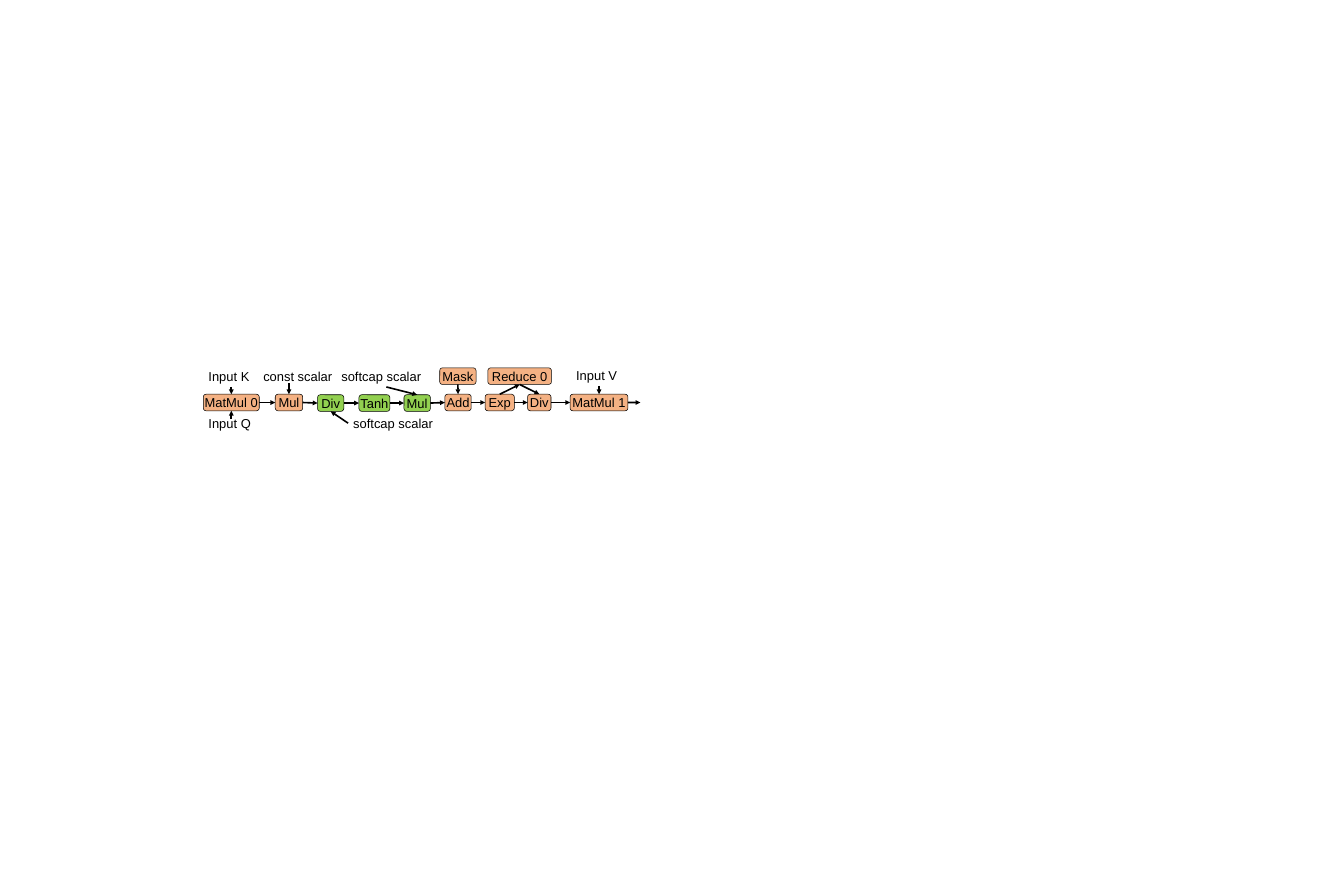
from dataclasses import dataclass

from lxml import etree
from pptx import Presentation
from pptx.dml.color import RGBColor
from pptx.enum.shapes import MSO_CONNECTOR, MSO_SHAPE
from pptx.enum.text import MSO_ANCHOR, MSO_AUTO_SIZE, PP_ALIGN
from pptx.oxml.ns import qn
from pptx.shapes.autoshape import Shape
from pptx.util import Inches, Pt

STRAIGHT = MSO_CONNECTOR.STRAIGHT
ROUNDED = MSO_SHAPE.ROUNDED_RECTANGLE
MIDDLE = MSO_ANCHOR.MIDDLE
LEFT_ALIGNED, CENTERED = PP_ALIGN.LEFT, PP_ALIGN.CENTER
GROW = MSO_AUTO_SIZE.SHAPE_TO_FIT_TEXT
TOP, LEFT, BOTTOM, RIGHT = range(4)

COLORS = {"base": "F4B183", "softcap": "92D050", "ink": "000000"}

# The grid has 100 columns and 100 rows
WIDTH, HEIGHT = Inches(25.98), Inches(17.32)
UPPER_ROW, MAIN_ROW, SOFTCAP_ROW = 41.06, 44, 44.06
OPERATOR_ROWS, LABEL_ROWS = 1.85, 2.31

Point = tuple[float, float]


@dataclass(frozen=True)
class Operator:
    key: str
    text: str
    col: float
    cols: float
    row: float = MAIN_ROW
    color: str = "base"


@dataclass(frozen=True)
class Label:
    text: str
    col: float
    row: float
    cols: float


@dataclass(frozen=True)
class Flow:
    source: str | Point
    target: str | Point
    source_side: int = RIGHT
    target_side: int = LEFT


CHAIN = [
    Operator("matmul 0", "MatMul 0", 15.13, 4.16),
    Operator("scale", "Mul", 20.48, 2.04),
    Operator("softcap div", "Div", 23.63, 1.95, SOFTCAP_ROW, "softcap"),
    Operator("tanh", "Tanh", 26.71, 2.3, SOFTCAP_ROW, "softcap"),
    Operator("softcap mul", "Mul", 30.06, 1.96, SOFTCAP_ROW, "softcap"),
    Operator("add", "Add", 33.1, 1.96),
    Operator("exp", "Exp", 36.1, 2.17),
    Operator("div", "Div", 39.26, 1.74),
    Operator("matmul 1", "MatMul 1", 42.42, 4.3),
]
BRANCHES = [
    Operator("mask", "Mask", 32.72, 2.7, UPPER_ROW),
    Operator("reduce", "Reduce 0", 36.3, 4.73, UPPER_ROW),
]
LABELS = [
    Label("Input K", 15.13, 40.82, 4.16),
    Label("Input Q", 15.13, 46.07, 4.16),
    Label("Input V", 42.49, 40.76, 4.16),
    Label("const scalar", 19.21, 40.88, 6.35),
    Label("softcap scalar", 25.02, 40.88, 7.47),
    Label("softcap scalar", 25.9, 46.07, 7.2),
]
FLOWS = [Flow(a.key, b.key) for a, b in zip(CHAIN, CHAIN[1:])] + [
    Flow("mask", "add", BOTTOM, TOP),
    Flow("exp", "reduce", TOP, BOTTOM),
    Flow("reduce", "div", BOTTOM, TOP),
    Flow((17.21, 43.19), "matmul 0", target_side=TOP),
    Flow((17.21, 46.77), "matmul 0", target_side=BOTTOM),
    Flow((21.5, 42.78), "scale", target_side=TOP),
    Flow((25.9, 47.23), "softcap div", target_side=BOTTOM),
    Flow((28.75, 43.19), "softcap mul", target_side=TOP),
    Flow((44.57, 43.07), "matmul 1", target_side=TOP),
    Flow("matmul 1", (47.65, 44.92)),
]


def x(cols: float) -> int:
    return round(WIDTH * cols / 100)


def y(rows: float) -> int:
    return round(HEIGHT * rows / 100)


def ink(name: str) -> RGBColor:
    return RGBColor.from_string(COLORS[name])


def write(shape: Shape, text: str, *, align=LEFT_ALIGNED, wrap: bool = True,
          size: float = 18, font: str = "Arial", color: str = "ink") -> None:
    frame = shape.text_frame
    frame.word_wrap = wrap
    paragraph = frame.paragraphs[0]
    paragraph.alignment = align
    run = paragraph.add_run()
    run.text = text
    run.font.size = Pt(size)
    run.font.name = font
    run.font.color.rgb = ink(color)


def draw_operator(shapes, operator: Operator) -> Shape:
    box = shapes.add_shape(ROUNDED, x(operator.col), y(operator.row),
                           x(operator.cols), y(OPERATOR_ROWS))
    box.shadow.inherit = False
    box.fill.solid()
    box.fill.fore_color.rgb = ink(operator.color)
    box.line.color.rgb = ink("ink")
    box.line.width = Pt(0.75)
    box.text_frame.vertical_anchor = MIDDLE
    write(box, operator.text, align=CENTERED, wrap=False)
    return box


def draw_label(shapes, label: Label) -> None:
    box = shapes.add_textbox(x(label.col), y(label.row),
                             x(label.cols), y(LABEL_ROWS))
    write(box, label.text)
    box.text_frame.auto_size = GROW


def draw_flow(shapes, flow: Flow, boxes: dict[str, Shape]) -> None:
    free_end = flow.target if isinstance(flow.source, str) else flow.source
    col, row = (0, 0) if isinstance(free_end, str) else free_end
    arrow = shapes.add_connector(STRAIGHT, x(col), y(row), x(col), y(row))
    if isinstance(flow.source, str):
        arrow.begin_connect(boxes[flow.source], flow.source_side)
    if isinstance(flow.target, str):
        arrow.end_connect(boxes[flow.target], flow.target_side)
    arrow.line.color.rgb = ink("ink")
    arrow.line.width = Pt(2.25)
    # Arrowhead, and no shadow
    properties = arrow.element.spPr
    etree.SubElement(properties.find(qn("a:ln")), qn("a:tailEnd"), type="triangle")
    etree.SubElement(properties, qn("a:effectLst"))


def main() -> None:
    deck = Presentation()
    deck.slide_width, deck.slide_height = WIDTH, HEIGHT
    shapes = deck.slides.add_slide(deck.slide_layouts[6]).shapes

    # Operators, then the labels and arrows around them
    boxes = {op.key: draw_operator(shapes, op) for op in CHAIN + BRANCHES}
    for label in LABELS:
        draw_label(shapes, label)
    for flow in FLOWS:
        draw_flow(shapes, flow, boxes)

    deck.save("out.pptx")


if __name__ == "__main__":
    main()
